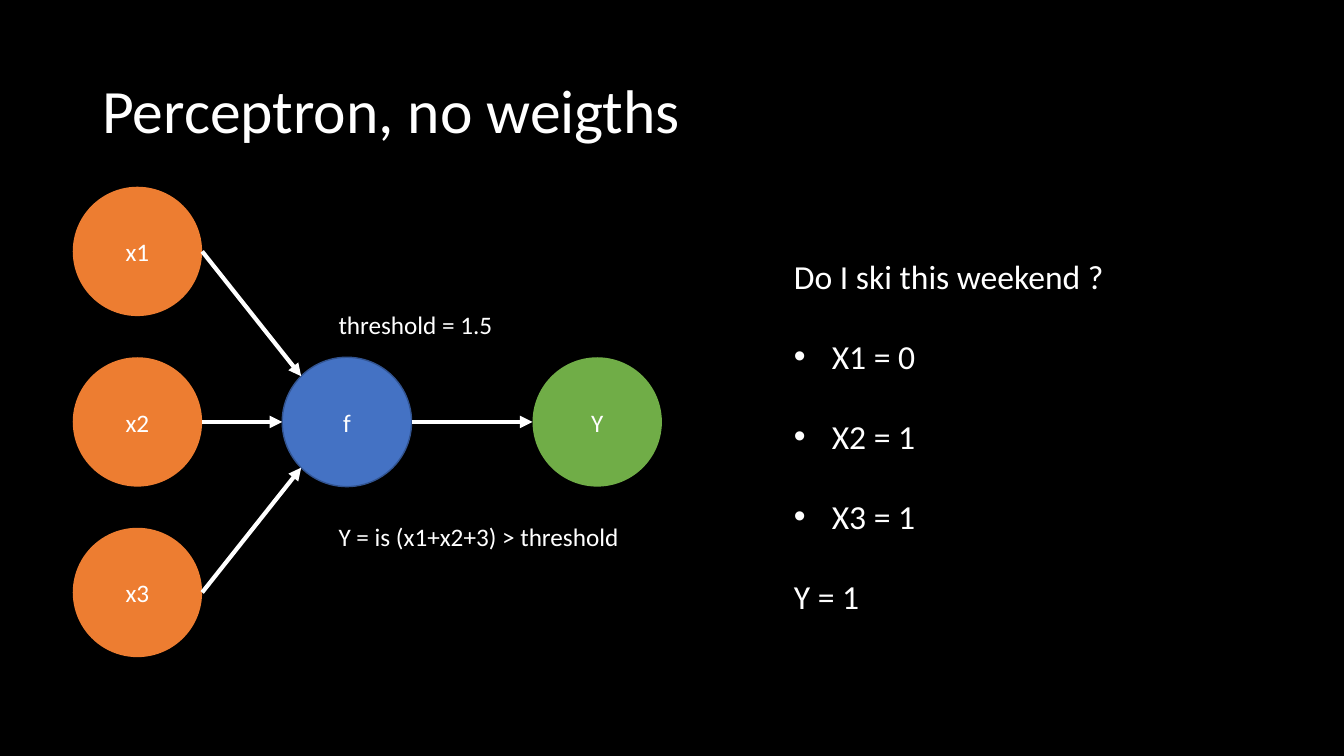
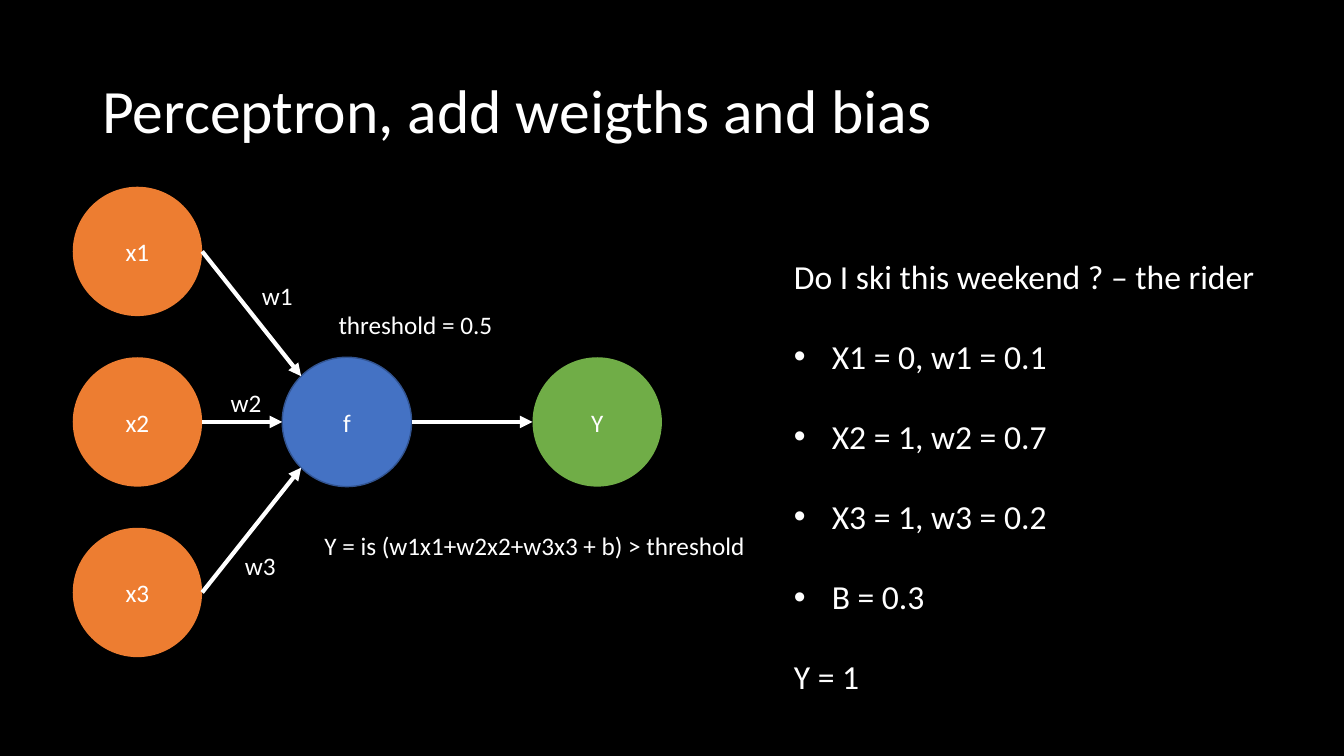
from dataclasses import dataclass
from math import sqrt

from lxml.etree import SubElement
from pptx import Presentation
from pptx.dml.color import RGBColor as Rgb
from pptx.enum.shapes import MSO_CONNECTOR as Link, MSO_SHAPE as Preset
from pptx.enum.text import MSO_ANCHOR as Anchor, MSO_AUTO_SIZE as Fit, PP_ALIGN as Align
from pptx.oxml.ns import qn
from pptx.util import Pt


@dataclass(frozen=True)
class Theme:
    """Colours, type sizes and line widths shared by the slides."""

    font: str = "Calibri"
    title: int = 44
    body: int = 24
    label: int = 18
    arrow: int = 3
    ink: Rgb = Rgb(0xFF, 0xFF, 0xFF)
    ground: Rgb = Rgb(0, 0, 0)
    input: Rgb = Rgb(0xED, 0x7D, 0x31)
    function: Rgb = Rgb(0x44, 0x72, 0xC4)
    function_edge: Rgb = Rgb(0x32, 0x54, 0x91)
    output: Rgb = Rgb(0x70, 0xAD, 0x47)


THEME = Theme()
TITLE_BOX = (66, 28.8, 828, 104.4)
DIAGRAM_ORIGIN = (52, 133.4)
NODE = 92.4
ROW_PITCH = 121.8
FUNCTION_X, OUTPUT_X = 149.6, 328.4
LABEL_HEIGHT = 29
WEIGHT_WIDTH = 36.7
WEIGHT_SPOTS = ((128, 63.2), (105.7, 139.5), (115.8, 256.1))
THRESHOLD_BOX = (182.7, 84, 126)
SITE_RIGHT, SITE_LEFT, SITE_TOP_LEFT, SITE_BOTTOM_LEFT = 6, 2, 1, 3
DIAGONAL = 1 / sqrt(2)
SITES = {
    SITE_RIGHT: (1, 0),
    SITE_LEFT: (-1, 0),
    SITE_TOP_LEFT: (-DIAGONAL, -DIAGONAL),
    SITE_BOTTOM_LEFT: (-DIAGONAL, DIAGONAL),
}

SLIDES = (
    dict(
        title="Perceptron, no weigths",
        threshold="threshold = 1.5",
        formula="Y = is (x1+x2+3) > threshold",
        formula_box=(182.7, 235.2, 216.7),
        weights=(),
        question="Do I ski this weekend ?",
        values=("X1 = 0", "X2 = 1", "X3 = 1"),
        answer="Y = 1",
        example_box=(560, 179.3, 334, 269.3),
    ),
    dict(
        title="Perceptron, add weigths and bias",
        threshold="threshold = 0.5",
        formula="Y = is (w1x1+w2x2+w3x3 + b) > threshold",
        formula_box=(172.6, 241.7, 318.2),
        weights=("w1", "w2", "w3"),
        question="Do I ski this weekend ? – the rider",
        values=("X1 = 0, w1 = 0.1", "X2 = 1, w2 = 0.7", "X3 = 1, w3 = 0.2", "B = 0.3"),
        answer="Y = 1",
        example_box=(560, 179.3, 386, 327),
    ),
)


def style(paragraph, size):
    """Give every run of a paragraph the theme font and ink."""
    for run in paragraph.runs:
        run.font.name = THEME.font
        run.font.size = Pt(size)
        run.font.color.rgb = THEME.ink


def add_text(slide, box, lines, size, wrap=True):
    """Add a text box with one paragraph per line and return its frame."""
    frame = slide.shapes.add_textbox(*map(Pt, box)).text_frame
    frame.word_wrap = wrap
    frame.text = "\n".join(lines)
    for paragraph in frame.paragraphs:
        style(paragraph, size)
    return frame


def add_title(slide, box, title):
    """Place the slide title, centred vertically in its box."""
    frame = add_text(slide, box, [title], THEME.title)
    frame.vertical_anchor = Anchor.MIDDLE
    frame.paragraphs[0].line_spacing = 0.9


def add_node(slide, left, top, name, fill, edge=None):
    """Add one named circle of the network."""
    node = slide.shapes.add_shape(Preset.OVAL, Pt(left), Pt(top), Pt(NODE), Pt(NODE))
    node.shadow.inherit = False
    node.fill.solid()
    node.fill.fore_color.rgb = fill
    if edge is None:
        node.line.fill.background()
    else:
        node.line.color.rgb = edge
        node.line.width = Pt(1)
    frame = node.text_frame
    frame.text = name
    frame.vertical_anchor = Anchor.MIDDLE
    frame.paragraphs[0].alignment = Align.CENTER
    style(frame.paragraphs[0], THEME.label)
    return node


def site_point(node, site):
    """Return the position of a connection site on a circle."""
    radius = node.width / 2
    across, down = SITES[site]
    return (
        round(node.left + radius * (1 + across)),
        round(node.top + radius * (1 + down)),
    )


def add_arrow(slide, source, target, target_site):
    """Attach an arrow from the right of one node to a site of another."""
    arrow = slide.shapes.add_connector(
        Link.STRAIGHT, *site_point(source, SITE_RIGHT), *site_point(target, target_site)
    )
    arrow.line.color.rgb = THEME.ink
    arrow.line.width = Pt(THEME.arrow)
    properties = arrow._element.spPr
    SubElement(properties.find(qn("a:ln")), qn("a:tailEnd"), type="triangle")
    SubElement(properties, qn("a:effectLst"))
    joints = arrow._element.find(".//" + qn("p:cNvCxnSpPr"))
    ends = (("a:stCxn", source, SITE_RIGHT), ("a:endCxn", target, target_site))
    for tag, node, site in ends:
        SubElement(joints, qn(tag), id=str(node.shape_id), idx=str(site))


def add_label(slide, box, label):
    """Add a single-line label that grows with its text."""
    frame = add_text(slide, (*box, LABEL_HEIGHT), [label], THEME.label, wrap=False)
    frame.auto_size = Fit.SHAPE_TO_FIT_TEXT


def add_diagram(slide, origin, content):
    """Draw inputs, function and output with their arrows and labels."""
    left, top = origin
    middle = top + ROW_PITCH
    function = add_node(
        slide, left + FUNCTION_X, middle, "f", THEME.function, THEME.function_edge
    )
    output = add_node(slide, left + OUTPUT_X, middle, "Y", THEME.output)
    add_arrow(slide, function, output, SITE_LEFT)
    for row, site in enumerate((SITE_TOP_LEFT, SITE_LEFT, SITE_BOTTOM_LEFT)):
        source = add_node(slide, left, top + row * ROW_PITCH, f"x{row + 1}", THEME.input)
        add_arrow(slide, source, function, site)
    labels = [
        (THRESHOLD_BOX, content["threshold"]),
        (content["formula_box"], content["formula"]),
    ]
    for spot, weight in zip(WEIGHT_SPOTS, content["weights"]):
        labels.append(((*spot, WEIGHT_WIDTH), weight))
    for (x, y, width), label in labels:
        add_label(slide, (left + x, top + y, width), label)


def add_example(slide, box, question, values, answer):
    """List the question, its bulleted values and the answer."""
    frame = add_text(slide, box, [question, *values, answer], THEME.body)
    for paragraph in frame.paragraphs[1:]:
        paragraph.space_before = Pt(28.4)
    for paragraph in frame.paragraphs[1:-1]:
        properties = paragraph._p.get_or_add_pPr()
        properties.set("marL", str(Pt(27)))
        properties.set("indent", str(-Pt(27)))
        SubElement(properties, qn("a:buFont"), typeface="Arial")
        SubElement(properties, qn("a:buChar"), char="•")


def add_perceptron_slide(deck, content):
    """Build one slide with a title, a network and a worked example."""
    slide = deck.slides.add_slide(deck.slide_layouts[6])
    add_title(slide, TITLE_BOX, content["title"])
    add_diagram(slide, DIAGRAM_ORIGIN, content)
    add_example(
        slide,
        content["example_box"],
        content["question"],
        content["values"],
        content["answer"],
    )


def main():
    """Build and save the deck."""
    deck = Presentation()
    deck.slide_width, deck.slide_height = Pt(960), Pt(540)
    ground = deck.slide_master.background.fill
    ground.solid()
    ground.fore_color.rgb = THEME.ground
    for content in SLIDES:
        add_perceptron_slide(deck, content)
    deck.save("out.pptx")


if __name__ == "__main__":
    main()
